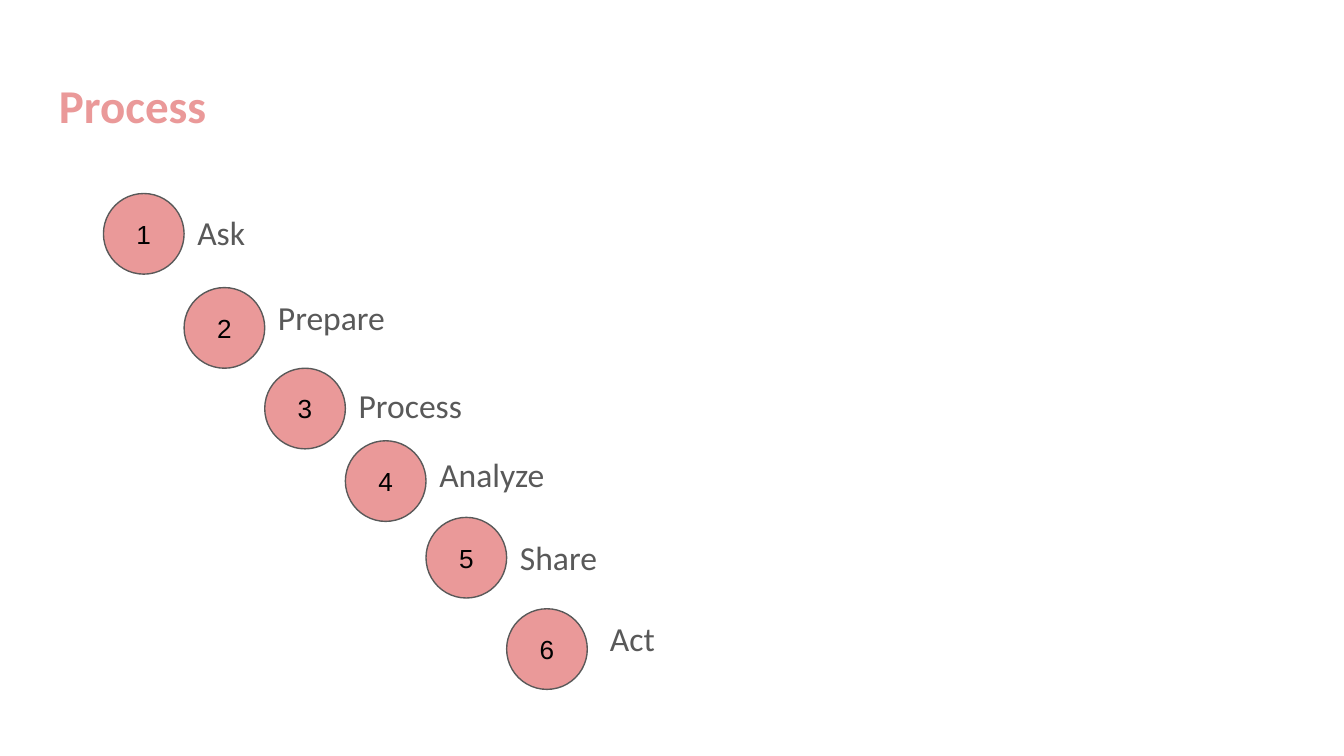
from pptx import Presentation
from pptx.dml.color import RGBColor
from pptx.enum.shapes import MSO_SHAPE
from pptx.enum.text import MSO_ANCHOR, PP_ALIGN
from pptx.util import Inches, Pt

COLORS = {"pink": "EA9999", "gray": "595959", "black": "000000"}
DIAMETER = 0.6
FIRST_LEFT = 0.77

# name, circle top, label box (top, width, height), line spacing, space after
STEPS = [
    ("Ask", 1.44, (1.48, 1.34, 0.53), 1.0, 0),
    ("Prepare", 2.14, (2.11, 1.34, 0.53), 1.0, 0),
    ("Process", 2.74, (2.72, 1.25, 0.49), 1.15, 12),
    ("Analyze", 3.28, (3.23, 1.11, 0.6), 1.15, 12),
    ("Share", 3.85, (3.85, 1.11, 0.49), 1.15, 12),
    ("Act", 4.53, (4.45, 1.11, 0.53), 1.15, 12),
]
LABEL_SHIFT = {"Act": 0.07}


def rgb(name):
    return RGBColor.from_string(COLORS[name])


def write_text(sp, text, size, font, color, bold=False):
    """Fill the shape's frame with one run and return its paragraph."""
    tf = sp.text_frame
    tf.word_wrap = True
    tf.margin_left = tf.margin_right = Inches(0.1)
    tf.margin_top = tf.margin_bottom = Inches(0.1)
    p = tf.paragraphs[0]
    r = p.add_run()
    r.text = text
    r.font.size = Pt(size)
    r.font.name = font
    r.font.bold = bold
    r.font.color.rgb = rgb(color)
    return p


def add_label(s, box, text, size, color, bold=False):
    sp = s.shapes.add_textbox(*map(Inches, box))
    sp.text_frame.vertical_anchor = MSO_ANCHOR.TOP
    return write_text(sp, text, size, "Calibri", color, bold)


def add_number_circle(s, left, top, number):
    sp = s.shapes.add_shape(MSO_SHAPE.OVAL, Inches(left), Inches(top),
                            Inches(DIAMETER), Inches(DIAMETER))
    sp.shadow.inherit = False
    sp.fill.solid()
    sp.fill.fore_color.rgb = rgb("pink")
    sp.line.color.rgb = rgb("gray")
    sp.line.width = Pt(0.75)
    sp.text_frame.vertical_anchor = MSO_ANCHOR.MIDDLE
    p = write_text(sp, str(number), 14, "Arial", "black")
    p.alignment = PP_ALIGN.CENTER


def main():
    prs = Presentation()
    prs.slide_width = Inches(10)
    prs.slide_height = Inches(10 * 9 / 16)
    s = prs.slides.add_slide(prs.slide_layouts[6])

    add_label(s, (0.34, 0.47, 9.32, 0.89), "Process", 25.2, "pink", bold=True)
    for i, (name, top, label, spacing, after) in enumerate(STEPS):
        left = FIRST_LEFT + i * DIAMETER
        add_number_circle(s, left, top, i + 1)
        label_top, width, height = label
        label_left = left + DIAMETER + LABEL_SHIFT.get(name, 0)
        p = add_label(s, (label_left, label_top, width, height), name, 18, "gray")
        p.line_spacing = spacing
        p.space_after = Pt(after)

    prs.save("out.pptx")


if __name__ == "__main__":
    main()
